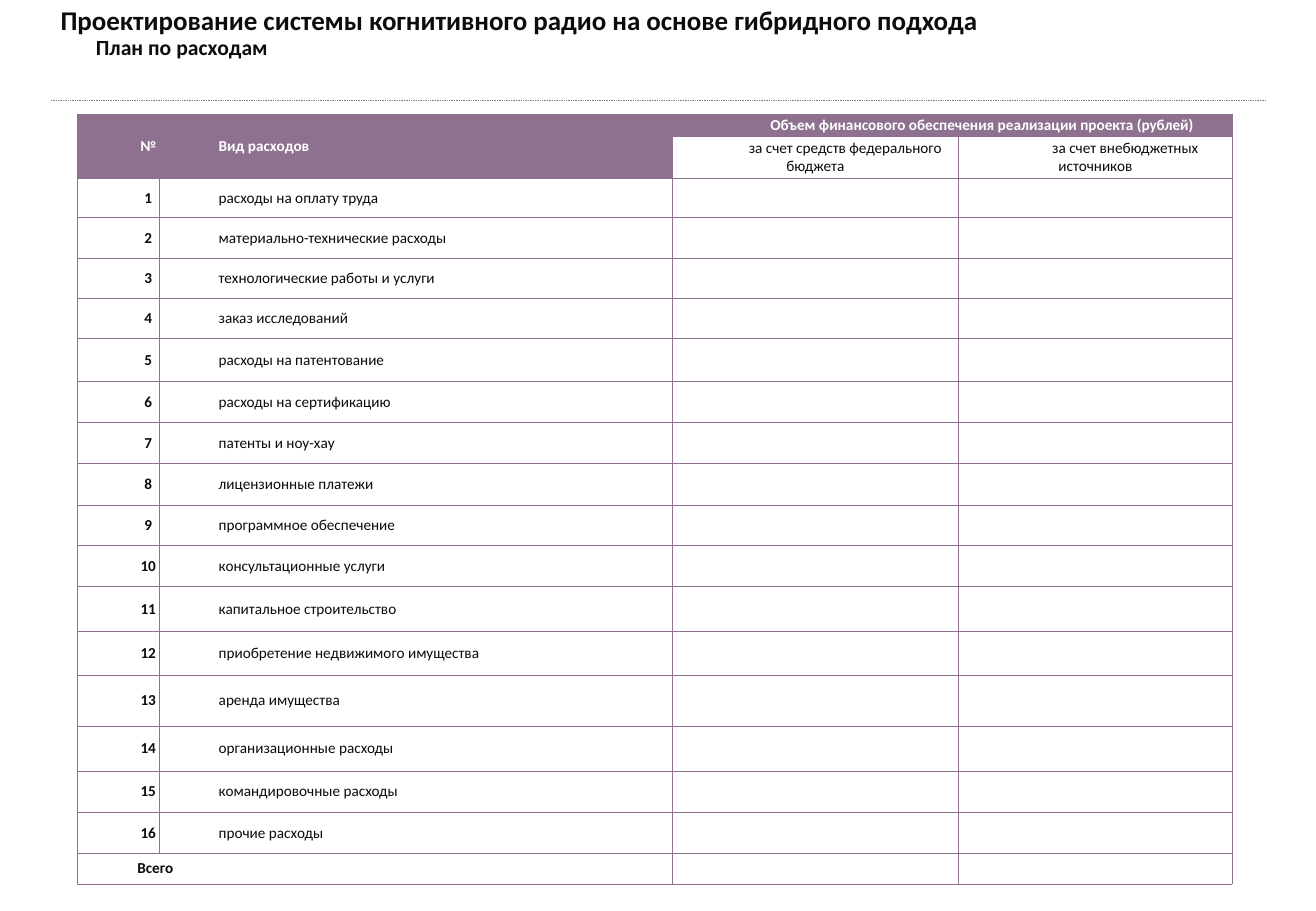
import lxml.etree
import pptx
import pptx.dml.color
import pptx.enum.dml
import pptx.enum.shapes
import pptx.enum.text
import pptx.oxml.ns
import pptx.util
from pptx.util import Inches

FONT = "Calibri"
INK, PURPLE, WHITE = "0C0C0C", "8E708F", "FFFFFF"
LINE_WIDTH = 0.5

# text, left, top, width, height, size
HEADINGS = [
    ("План по расходам", 0.69, 0.23, 1.63, 0.32, 12.8),
    ("Проектирование системы когнитивного радио на основе гибридного подхода",
     0.4, -0.02, 7.83, 0.37, 16),
]
FUNDING_TITLE = "Объем финансового обеспечения реализации проекта (рублей)"
FUNDING_SOURCES = ["за счет средств федерального бюджета", "за счет внебюджетных источников"]
EXPENSES = [
    "расходы на оплату труда",
    "материально-технические расходы",
    "технологические работы и услуги",
    "заказ исследований",
    "расходы на патентование",
    "расходы на сертификацию",
    "патенты и ноу-хау",
    "лицензионные платежи",
    "программное обеспечение",
    "консультационные услуги",
    "капитальное строительство",
    "приобретение недвижимого имущества",
    "аренда имущества",
    "организационные расходы",
    "командировочные расходы",
    "прочие расходы",
]
COLUMN_WIDTHS = [0.67, 4.22, 2.36, 2.25]
ROW_HEIGHTS = [0.18, 0.35, 0.32, 0.34, 0.33, 0.33, 0.35, 0.34, 0.34, 0.34,
               0.33, 0.34, 0.37, 0.36, 0.42, 0.37, 0.34, 0.34, 0.25]
TOTAL_ROW = len(ROW_HEIGHTS) - 1


def color(value):
    return pptx.dml.color.RGBColor.from_string(value)


def set_font(para, size, ink, bold):
    para.font.name = FONT
    para.font.size = pptx.util.Pt(size)
    para.font.bold = bold
    para.font.color.rgb = color(ink)


def add_heading(page, text, left, top, width, height, size):
    box = page.shapes.add_textbox(Inches(left), Inches(top), Inches(width), Inches(height))
    box.text_frame.word_wrap = False
    para = box.text_frame.paragraphs[0]
    para.text = text
    set_font(para, size, INK, True)


def add_divider(page):
    divider = page.shapes.add_connector(
        pptx.enum.shapes.MSO_CONNECTOR.STRAIGHT,
        Inches(0.42), Inches(0.83), Inches(10.42), Inches(0.83))
    divider.line.color.rgb = color(PURPLE)
    divider.line.width = pptx.util.Pt(LINE_WIDTH)
    divider.line.dash_style = pptx.enum.dml.MSO_LINE.ROUND_DOT
    lxml.etree.SubElement(divider._element.spPr, pptx.oxml.ns.qn("a:effectLst"))


def add_borders(cell):
    properties = cell._tc.get_or_add_tcPr()
    for side in ("a:lnL", "a:lnR", "a:lnT", "a:lnB"):
        border = lxml.etree.SubElement(properties, pptx.oxml.ns.qn(side),
                                       w=str(pptx.util.Pt(LINE_WIDTH)))
        fill = lxml.etree.SubElement(border, pptx.oxml.ns.qn("a:solidFill"))
        lxml.etree.SubElement(fill, pptx.oxml.ns.qn("a:srgbClr"), val=PURPLE)


def style_cell(cell, fill):
    cell.margin_left = cell.margin_right = cell.margin_top = cell.margin_bottom = 0
    cell.vertical_anchor = pptx.enum.text.MSO_ANCHOR.MIDDLE
    add_borders(cell)
    cell.fill.solid()
    cell.fill.fore_color.rgb = color(fill)
    set_font(cell.text_frame.paragraphs[0], 9, INK, False)


def write_cell(cell, text, ink=INK, bold=False, centered=False):
    para = cell.text_frame.paragraphs[0]
    para.text = text
    set_font(para, 9, ink, bold)
    align = pptx.enum.text.PP_ALIGN
    para.alignment = align.CENTER if centered else align.LEFT
    para._p.get_or_add_pPr().set("indent", str(Inches(0.49)))


def add_expense_table(page):
    frame = page.shapes.add_table(
        len(ROW_HEIGHTS), len(COLUMN_WIDTHS), Inches(0.64), Inches(0.94),
        Inches(sum(COLUMN_WIDTHS)), Inches(sum(ROW_HEIGHTS)))
    table = frame.table
    for column, width in zip(table.columns, COLUMN_WIDTHS):
        column.width = Inches(width)
    for row, height in zip(table.rows, ROW_HEIGHTS):
        row.height = Inches(height)

    for row_index, row in enumerate(table.rows):
        for column_index, cell in enumerate(row.cells):
            is_header = row_index == 0 or (row_index == 1 and column_index < 2)
            style_cell(cell, PURPLE if is_header else WHITE)

    for first, last in [((0, 0), (1, 0)), ((0, 1), (1, 1)), ((0, 2), (0, 3)),
                        ((TOTAL_ROW, 0), (TOTAL_ROW, 1))]:
        table.cell(*first).merge(table.cell(*last))

    write_cell(table.cell(0, 0), "№", WHITE, True, True)
    write_cell(table.cell(0, 1), "Вид расходов", WHITE, True)
    write_cell(table.cell(0, 2), FUNDING_TITLE, WHITE, True, True)
    for column_index, source in enumerate(FUNDING_SOURCES, 2):
        write_cell(table.cell(1, column_index), source, centered=True)
    for number, expense in enumerate(EXPENSES, 1):
        write_cell(table.cell(number + 1, 0), str(number), bold=True, centered=True)
        write_cell(table.cell(number + 1, 1), expense)
    write_cell(table.cell(TOTAL_ROW, 0), "Всего", bold=True)


def main():
    deck = pptx.Presentation()
    deck.slide_width, deck.slide_height = Inches(10.83), Inches(7.5)
    page = deck.slides.add_slide(deck.slide_layouts[6])
    for heading in HEADINGS:
        add_heading(page, *heading)
    add_divider(page)
    add_expense_table(page)
    deck.save("out.pptx")


if __name__ == "__main__":
    main()
